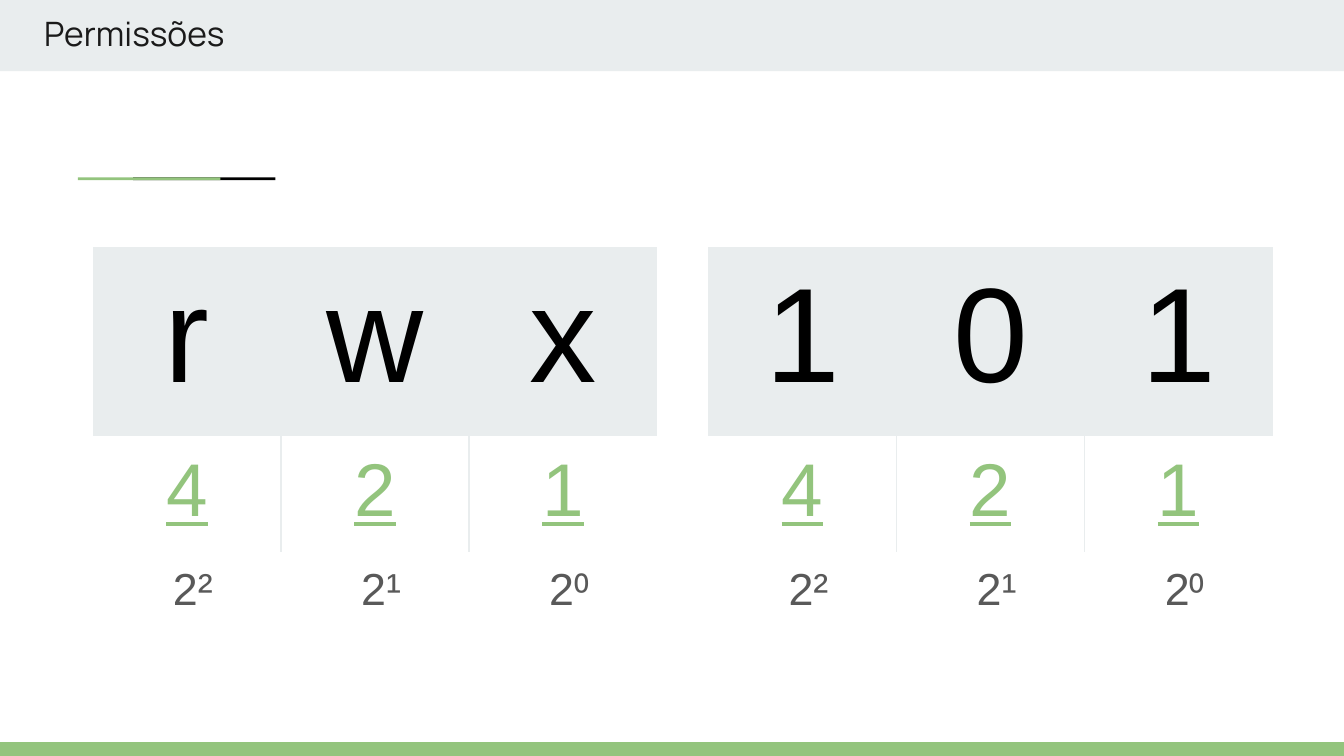
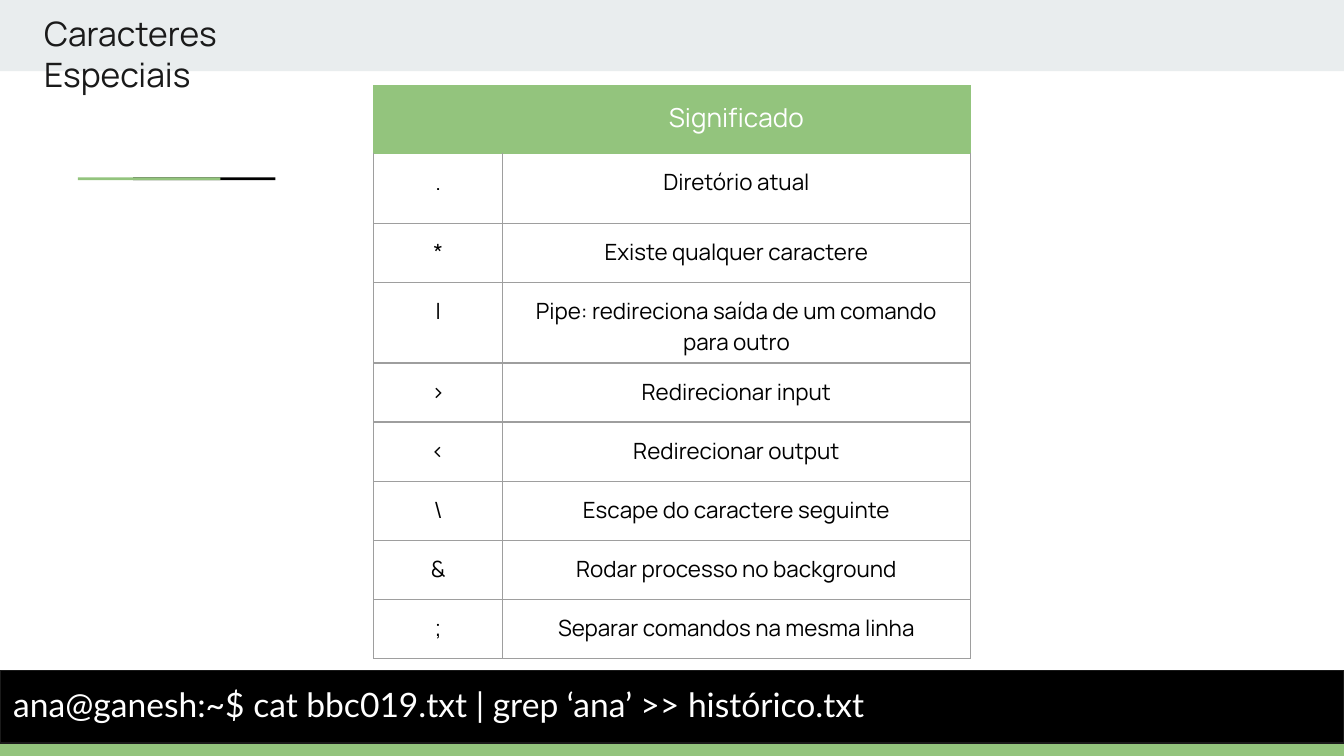
from lxml.etree import SubElement
from pptx import Presentation
from pptx.dml.color import RGBColor
from pptx.enum.shapes import MSO_SHAPE
from pptx.enum.text import MSO_ANCHOR, PP_ALIGN
from pptx.oxml.ns import qn
from pptx.util import Inches, Pt

BLACK = RGBColor(0x00, 0x00, 0x00)
WHITE = RGBColor(0xFF, 0xFF, 0xFF)
INK = RGBColor(0x1A, 0x1A, 0x1A)
GREY = RGBColor(0x59, 0x59, 0x59)
MIST = RGBColor(0xE9, 0xED, 0xEE)
RULE = RGBColor(0x9E, 0x9E, 0x9E)
GREEN = RGBColor(0x93, 0xC4, 0x7D)

BODY_FONT = "Manrope"
DIGIT_FONT = "Arial"
TERMINAL_FONT = "Lato"
SLIDE_WIDTH = Inches(10)
LINE_WIDTH = Pt(0.75)
INSET = Inches(0.1)
TABLE_FRAME = Inches(3.28)

SPECIAL_CHARACTERS = [
    (".", "Diretório atual"),
    ("*", "Existe qualquer caractere"),
    ("|", "Pipe: redireciona saída de um comando para outro"),
    (">", "Redirecionar input"),
    ("<", "Redirecionar output"),
    ("\\", "Escape do caractere seguinte"),
    ("&", "Rodar processo no background"),
    (";", "Separar comandos na mesma linha"),
]


def add_bar(slide, box, fill, line=None):
    """Draw a plain rectangle, outlined only when a line colour is given."""
    shape = slide.shapes.add_shape(MSO_SHAPE.RECTANGLE, *map(Inches, box))
    shape.shadow.inherit = False
    shape.fill.solid()
    shape.fill.fore_color.rgb = fill
    if line is None:
        shape.line.fill.background()
    else:
        shape.line.color.rgb = line
        shape.line.width = LINE_WIDTH


def add_run(paragraph, text, size, font, color, underline=None):
    """Append one formatted run to a paragraph."""
    run = paragraph.add_run()
    run.text = text
    run.font.size = Pt(size)
    run.font.name = font
    run.font.color.rgb = color
    run.font.underline = underline


def add_text(slide, box, text, size, font, color):
    """Place a wrapping, top-anchored text box."""
    frame = slide.shapes.add_textbox(*map(Inches, box)).text_frame
    frame.word_wrap = True
    frame.vertical_anchor = MSO_ANCHOR.TOP
    frame.margin_left = frame.margin_right = INSET
    frame.margin_top = frame.margin_bottom = INSET
    add_run(frame.paragraphs[0], text, size, font, color)


def add_plain_table(slide, left, top, columns, rows):
    """Add an unbanded table with the given column widths and row heights."""
    frame = slide.shapes.add_table(
        len(rows), len(columns), Inches(left), Inches(top), TABLE_FRAME, TABLE_FRAME
    )
    table = frame.table
    table.first_row = table.horz_banding = False
    for column, width in zip(table.columns, columns):
        column.width = Inches(width)
    for row, height in zip(table.rows, rows):
        row.height = Inches(height)
    frame.width = frame.height = TABLE_FRAME
    return table


def set_borders(cell, colors):
    """Draw the sides named in colors (L, R, T, B) and hide the others."""
    properties = cell._tc.get_or_add_tcPr()
    for side in "LRTB":
        line = SubElement(properties, qn(f"a:ln{side}"), w=str(LINE_WIDTH))
        if side in colors:
            solid = SubElement(line, qn("a:solidFill"))
            SubElement(solid, qn("a:srgbClr"), val=str(colors[side]))
        else:
            SubElement(line, qn("a:noFill"))


def fill_cell(cell, text, style, borders, fill=None):
    """Give a cell its borders, fill and centred text."""
    set_borders(cell, borders)
    if fill is None:
        cell.fill.background()
    else:
        cell.fill.solid()
        cell.fill.fore_color.rgb = fill
    cell.margin_left = cell.margin_right = INSET
    cell.margin_top = cell.margin_bottom = INSET
    paragraph = cell.text_frame.paragraphs[0]
    paragraph.alignment = PP_ALIGN.CENTER
    add_run(paragraph, text, *style)


def add_frame(presentation, title):
    """Start a slide with the shared title band, accent and footer."""
    slide = presentation.slides.add_slide(presentation.slide_layouts[6])
    add_bar(slide, (0, 0, 10, 0.53), MIST)
    add_bar(slide, (0.99, 1.32, 1.06, 0.02), BLACK)
    add_bar(slide, (0.58, 1.32, 1.06, 0.02), GREEN)
    add_bar(slide, (0, 5.53, 10, 0.1), GREEN, GREEN)
    add_text(slide, (0.23, 0, 2.53, 0.54), title, 18, BODY_FONT, INK)
    return slide


def add_bit_table(slide, left, top, symbols):
    """Show three permission symbols above their weights and powers of two."""
    table = add_plain_table(slide, left, top, [1.4] * 3, [1.25, 0.71, 0.63])
    for index, (symbol, weight, power) in enumerate(zip(symbols, "421", "²¹⁰")):
        dividers = {}
        if index > 0:
            dividers["L"] = MIST
        if index < 2:
            dividers["R"] = MIST
        fill_cell(table.cell(0, index), symbol, (72, DIGIT_FONT, BLACK), {}, MIST)
        fill_cell(table.cell(1, index), weight, (40, DIGIT_FONT, GREEN, True), dividers)
        power_cell = table.cell(2, index)
        fill_cell(power_cell, "2" + power, (24, DIGIT_FONT, GREY), {})
        power_cell.margin_left = Inches(0.19)


def add_character_table(slide, left, top):
    """List the special characters with their meanings."""
    heights = [0.44, 0.52] + [0.44] * (len(SPECIAL_CHARACTERS) - 1)
    table = add_plain_table(slide, left, top, [0.96, 3.48], heights)
    for column, heading in enumerate(("", "Significado")):
        borders = dict.fromkeys("LRTB", GREEN)
        fill_cell(table.cell(0, column), heading, (14, BODY_FONT, WHITE), borders, GREEN)
    for row, texts in enumerate(SPECIAL_CHARACTERS, start=1):
        borders = dict.fromkeys("LRTB", RULE)
        if row == 1:
            borders["T"] = GREEN
        for column, text in enumerate(texts):
            fill_cell(table.cell(row, column), text, (12, BODY_FONT, BLACK), borders)


def add_terminal(slide, left, top, command):
    """Draw the black terminal strip with its command."""
    add_bar(slide, (left, top, 10, 0.54), BLACK, INK)
    add_text(slide, (left, top, 7.01, 0.54), command, 18, TERMINAL_FONT, WHITE)


def build_permissions(presentation):
    """Build the slide on permission bits."""
    slide = add_frame(presentation, "Permissões")
    for left, symbols in ((0.69, "rwx"), (5.27, "101")):
        add_bit_table(slide, left, 1.84, symbols)


def build_special_characters(presentation):
    """Build the slide on special shell characters."""
    slide = add_frame(presentation, "Caracteres Especiais")
    add_terminal(
        slide, 0, 4.99, "ana@ganesh:~$ cat bbc019.txt | grep ‘ana’ >> histórico.txt"
    )
    add_character_table(slide, 2.78, 0.64)


def main():
    """Build and save the presentation."""
    presentation = Presentation()
    presentation.slide_width = SLIDE_WIDTH
    presentation.slide_height = SLIDE_WIDTH * 9 // 16
    build_permissions(presentation)
    build_special_characters(presentation)
    presentation.save("out.pptx")


if __name__ == "__main__":
    main()
